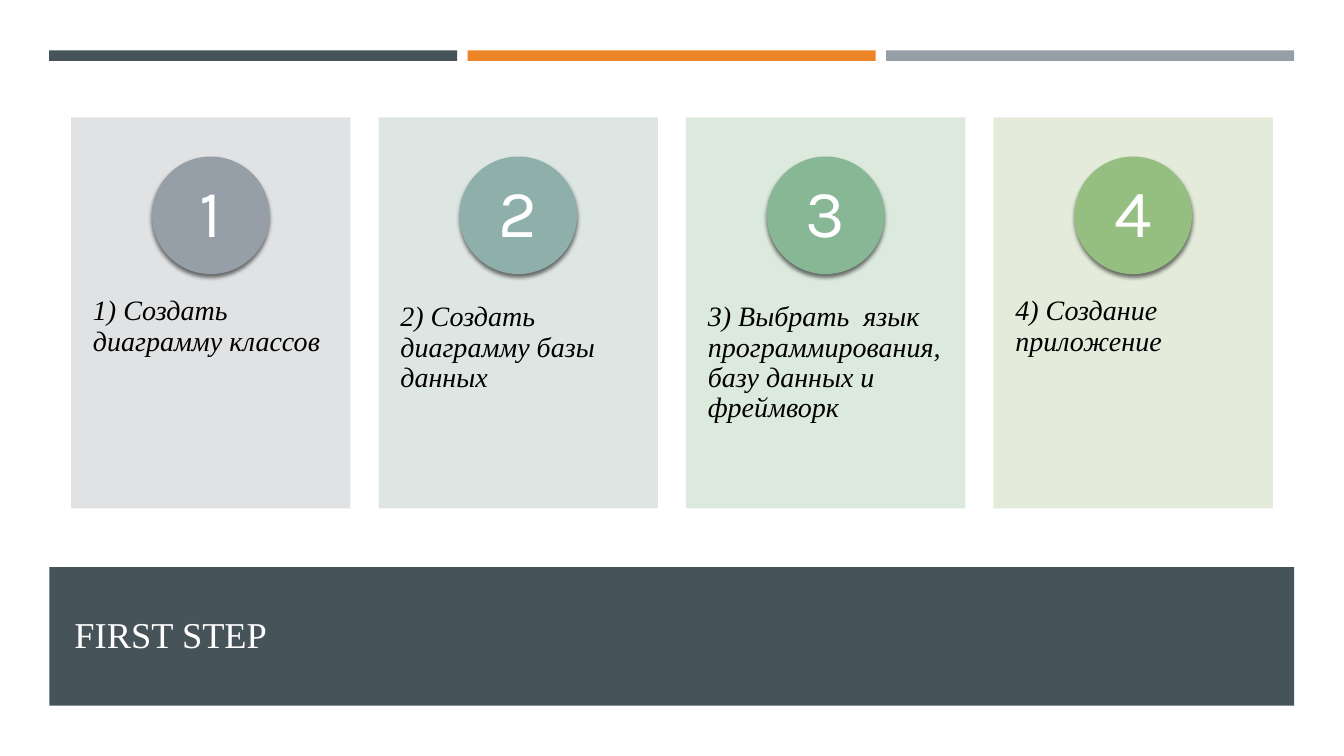
import pptx
import pptx.dml.color
import pptx.enum.shapes
import pptx.enum.text
import pptx.oxml
import pptx.oxml.ns
import pptx.util
from lxml import etree

Pt = pptx.util.Pt
SHAPE = pptx.enum.shapes.MSO_SHAPE
ANCHOR = pptx.enum.text.MSO_ANCHOR
ALIGN = pptx.enum.text.PP_ALIGN

SERIF, ROUND = "Times New Roman", "Karla"
SLATE, ORANGE, GREY = "465359", "ED8428", "969FA7"
STEPS = [
    ("DDDFE1", "969FA7", "1) Создать диаграмму классов"),
    ("DBE4E2", "8FAFAB", "2) Создать диаграмму базы данных"),
    ("D9E7DA", "87B794", "3) Выбрать  язык программирования, базу данных и фреймворк"),
    ("E2E9D7", "95BF80", "4) Создание приложение"),
]
CIRCLE_SHADOW = (
    '<a:effectLst %s><a:outerShdw blurRad="38100" dist="25400" dir="5400000" rotWithShape="0">'
    '<a:srgbClr val="000000"><a:alpha val="55000"/></a:srgbClr></a:outerShdw></a:effectLst>'
    % pptx.oxml.ns.nsdecls("a")
)


def rgb(value):
    """Return the colour for a hex string."""
    return pptx.dml.color.RGBColor.from_string(value)


def add_box(s, kind, box, fill):
    """Add a plain filled shape without line or shadow."""
    sp = s.shapes.add_shape(kind, *map(Pt, box))
    sp.shadow.inherit = False
    sp.fill.solid()
    sp.fill.fore_color.rgb = rgb(fill)
    sp.line.fill.background()
    return sp


def set_text(sp, text, color, font, frame, paragraph):
    """Write one formatted paragraph into a shape."""
    tf = sp.text_frame
    tf.text = text
    p = tf.paragraphs[0]
    r = p.runs[0]
    for target, values in ((tf, frame), (p, paragraph), (r.font, font)):
        for name, value in values.items():
            setattr(target, name, value)
    r.font.color.rgb = rgb(color)


def add_stripes(s, left, top, width, height):
    """Draw the three coloured stripes across the top."""
    gap = 7.5
    stripe = (width - 2 * gap) / 3
    for i, color in enumerate((SLATE, ORANGE, GREY)):
        add_box(s, SHAPE.RECTANGLE, (left + i * (stripe + gap), top, stripe, height), color)


def add_card(s, left, top, width, height, number, step):
    """Draw one step card with its numbered circle and text."""
    pale, strong, text = step
    card = add_box(s, SHAPE.RECTANGLE, (left, top, width, height), pale)
    color = card.fill._xPr.find(".//" + pptx.oxml.ns.qn("a:srgbClr"))
    etree.SubElement(color, pptx.oxml.ns.qn("a:alpha"), val="90000")

    label = s.shapes.add_textbox(Pt(left), Pt(top + 106.4), Pt(width), Pt(168))
    set_text(label, text, "000000",
             {"name": SERIF, "size": Pt(20), "italic": True},
             {"word_wrap": True, "margin_left": Pt(15.6), "margin_right": Pt(15.6),
              "margin_top": Pt(26), "margin_bottom": Pt(26)},
             {"line_spacing": 0.9})

    size = 84
    circle = add_box(s, SHAPE.OVAL, (left + (width - size) / 2, top + 28, size, size), strong)
    props = circle.element.spPr
    props.replace(props.find(pptx.oxml.ns.qn("a:effectLst")), pptx.oxml.parse_xml(CIRCLE_SHADOW))
    set_text(circle, str(number), "FFFFFF",
             {"name": ROUND, "size": Pt(48)},
             {"vertical_anchor": ANCHOR.MIDDLE, "margin_left": Pt(6.5), "margin_right": Pt(6.5),
              "margin_top": Pt(0.7), "margin_bottom": Pt(0.7)},
             {"alignment": ALIGN.CENTER, "line_spacing": 0.9})


def add_cards(s, left, top, width, height):
    """Spread the step cards evenly over the box."""
    card = 199.6
    pitch = (width - card) / (len(STEPS) - 1)
    for i, step in enumerate(STEPS):
        add_card(s, left + i * pitch, top, card, height, i + 1, step)


def add_title_band(s, left, top, width, height):
    """Draw the dark band and place the title on it."""
    add_box(s, SHAPE.RECTANGLE, (left, top, width, height), SLATE)
    title = s.shapes.title
    place = {"left": left + 10.8, "top": top + 10, "width": width - 32, "height": 75.6}
    for name, value in place.items():
        setattr(title, name, Pt(value))
    set_text(title, "FIRST STEP", "FFFEFF",
             {"name": SERIF, "size": Pt(26)},
             {"vertical_anchor": ANCHOR.MIDDLE, "word_wrap": True,
              "auto_size": pptx.enum.text.MSO_AUTO_SIZE.NONE},
             {"alignment": ALIGN.LEFT})
    title.element.getparent().append(title.element)


def main():
    """Build and save the slide."""
    prs = pptx.Presentation()
    prs.slide_width, prs.slide_height = Pt(960), Pt(540)
    s = prs.slides.add_slide(prs.slide_layouts[5])
    add_stripes(s, 35.2, 36, 889.2, 7.5)
    add_cards(s, 50.8, 83.8, 858.4, 279.4)
    add_title_band(s, 35.2, 405, 889.2, 99)
    prs.save("out.pptx")


if __name__ == "__main__":
    main()
